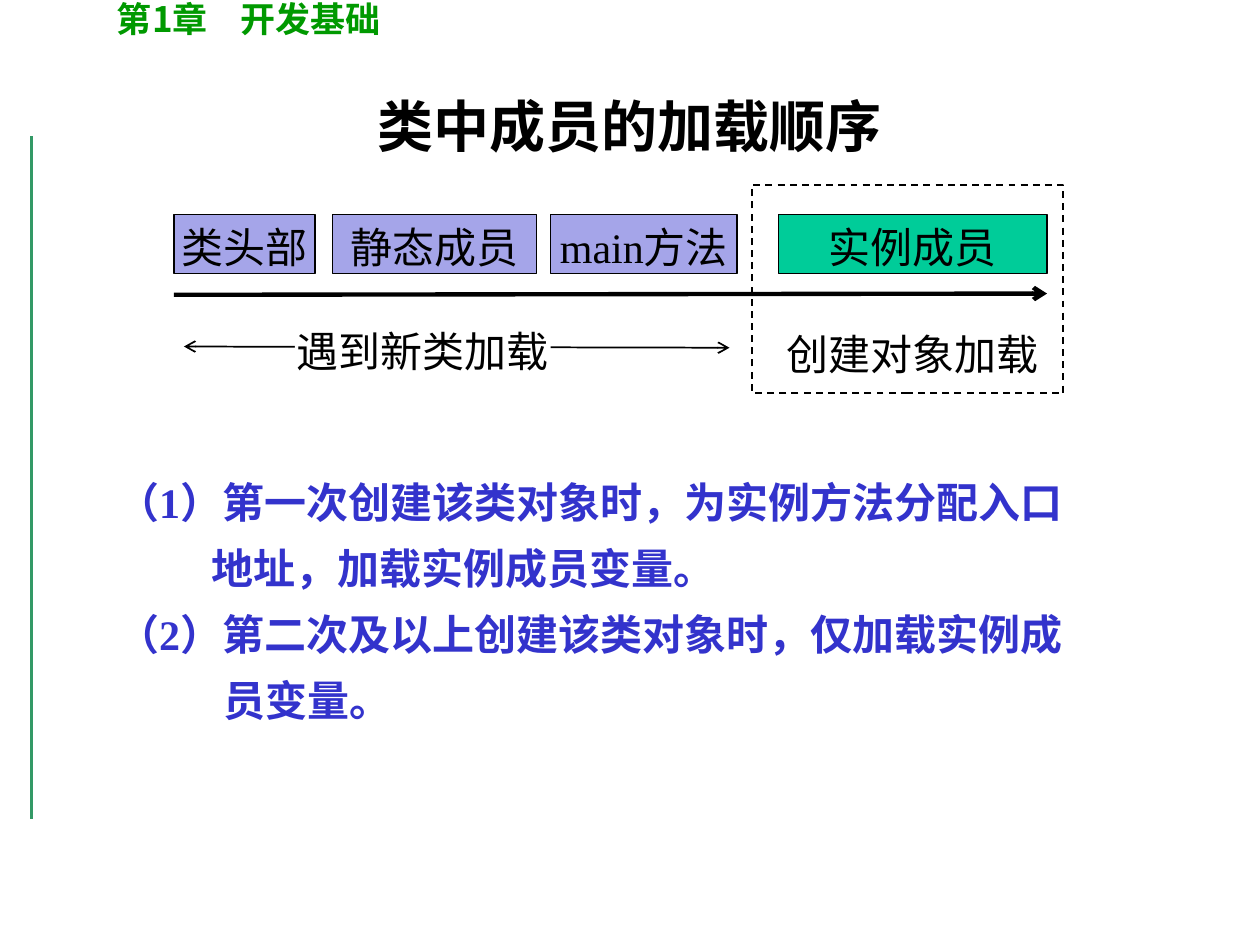
"""Build the slide on the loading order of class members."""
from lxml.etree import SubElement as Sub
from pptx import Presentation
from pptx.dml.color import RGBColor as RGB
from pptx.enum.dml import MSO_LINE as Dash
from pptx.enum.shapes import MSO_CONNECTOR as Conn, MSO_SHAPE as Shape
from pptx.enum.text import MSO_ANCHOR as Anchor, MSO_AUTO_SIZE as Auto, PP_ALIGN as Align
from pptx.oxml.ns import qn
from pptx.util import Inches, Pt

BLACK = RGB(0x00, 0x00, 0x00)
WHITE = RGB(0xFF, 0xFF, 0xFF)
GREEN = RGB(0x00, 0x99, 0x00)
SIDE = RGB(0x33, 0x99, 0x66)
LILAC = RGB(0xA5, 0xA5, 0xE9)
TEAL = RGB(0x00, 0xCC, 0x99)
BLUE = RGB(0x33, 0x33, 0xCC)
SERIF = "Times New Roman"
SANS = "Noto Sans CJK SC"


def style(para, size, color, bold=False, face=SERIF):
    font = para.font
    font.size, font.bold, font.name = Pt(size), bold, face
    font.color.rgb = color


def draw_line(ends, color, width, heads=()):
    line = slide.shapes.add_connector(Conn.STRAIGHT, *map(Inches, ends))
    line.line.color.rgb = color
    line.line.width = Pt(width)
    for head in heads:
        Sub(line.line._get_or_add_ln(), qn(f"a:{head}"), type="arrow")
    Sub(line._element.spPr, qn("a:effectLst"))


deck = Presentation()
deck.slide_width, deck.slide_height = Inches(10), Inches(7.5)
slide = deck.slides.add_slide(deck.slide_layouts[1])
shapes = slide.shapes

draw_line((0.25, 1.08, 0.25, 6.5), SIDE, 2.25)

header = shapes.add_textbox(Inches(0.83), Inches(-0.07), Inches(5.75), Inches(0.44))
header.text_frame.word_wrap = True
para = header.text_frame.paragraphs[0]
tabs = Sub(para._p.get_or_add_pPr(), qn("a:tabLst"))
Sub(tabs, qn("a:tab"), pos=str(Inches(0.98)), algn="l")
style(para, 20, GREEN, True)
for text, face in (("第", SERIF), ("1", SANS), ("章", SERIF), ("\t开发", SANS), ("基础", SERIF)):
    run = para.add_run()
    run.text = text
    run.font.name = face

title = shapes.title
title.left, title.top = Inches(0.75), Inches(0.37)
title.width, title.height = Inches(8.5), Inches(1.25)
title.text_frame.text = "类中成员的加载顺序"
title.text_frame.vertical_anchor = Anchor.MIDDLE
para = title.text_frame.paragraphs[0]
para.alignment = Align.CENTER
style(para, 32, BLACK, True)

draw_line((1.38, 2.34, 8.31, 2.33), BLACK, 2.5, ["tailEnd"])
draw_line((1.46, 2.75, 5.79, 2.76), BLACK, 1, ["headEnd", "tailEnd"])

for text, left, top, width, height, fill, edge in (
    ("类头部", 1.38, 1.7, 1.12, 0.47, LILAC, True),
    ("静态成员", 2.64, 1.7, 1.62, 0.47, LILAC, True),
    ("main方法", 4.37, 1.7, 1.48, 0.47, LILAC, True),
    ("实例成员", 6.18, 1.7, 2.13, 0.47, TEAL, True),
    ("遇到新类加载", 2.34, 2.41, 2.03, 0.7, WHITE, False),
    ("创建对象加载", 6.18, 2.52, 2.13, 0.53, None, False),
):
    box = shapes.add_shape(Shape.RECTANGLE, *map(Inches, (left, top, width, height)))
    box.shadow.inherit = False
    if fill is None:
        box.fill.background()
    else:
        box.fill.solid()
        box.fill.fore_color.rgb = fill
    if edge:
        box.line.color.rgb = BLACK
        box.line.width = Pt(0.75)
    else:
        box.line.fill.background()
    frame = box.text_frame
    frame.word_wrap = False
    frame.vertical_anchor = Anchor.MIDDLE
    frame.text = text
    para = frame.paragraphs[0]
    para.alignment = Align.CENTER
    para.line_spacing = 1.1
    style(para, 24, BLACK)

group = shapes.add_shape(Shape.RECTANGLE, Inches(5.97), Inches(1.47), Inches(2.47), Inches(1.65))
group.shadow.inherit = False
group.fill.background()
group.line.color.rgb = BLACK
group.line.width = Pt(1)
group.line.dash_style = Dash.DASH

body = slide.placeholders[1]
body.left, body.top = Inches(0.83), Inches(3.47)
body.width, body.height = Inches(7.88), Inches(2.56)
frame = body.text_frame
frame.word_wrap = False
frame.auto_size = Auto.NONE
frame.vertical_anchor = Anchor.MIDDLE
notes = (
    ("（1）第一次创建该类对象时，为实例方法分配入口", 0),
    ("地址，加载实例成员变量。", 0.75),
    ("（2）第二次及以上创建该类对象时，仅加载实例成", 0),
    ("员变量。", 0.84),
)
frame.text = "\n".join(text for text, _ in notes)
for row, (para, (_, left)) in enumerate(zip(frame.paragraphs, notes)):
    props = para._p.get_or_add_pPr()
    props.set("marL", str(Inches(left)))
    props.set("indent", "0")
    Sub(props, qn("a:buNone"))
    para.line_spacing = 1.1
    para.space_before = Pt(6 if row else 0)
    style(para, 24, BLUE, True)

deck.save("out.pptx")
